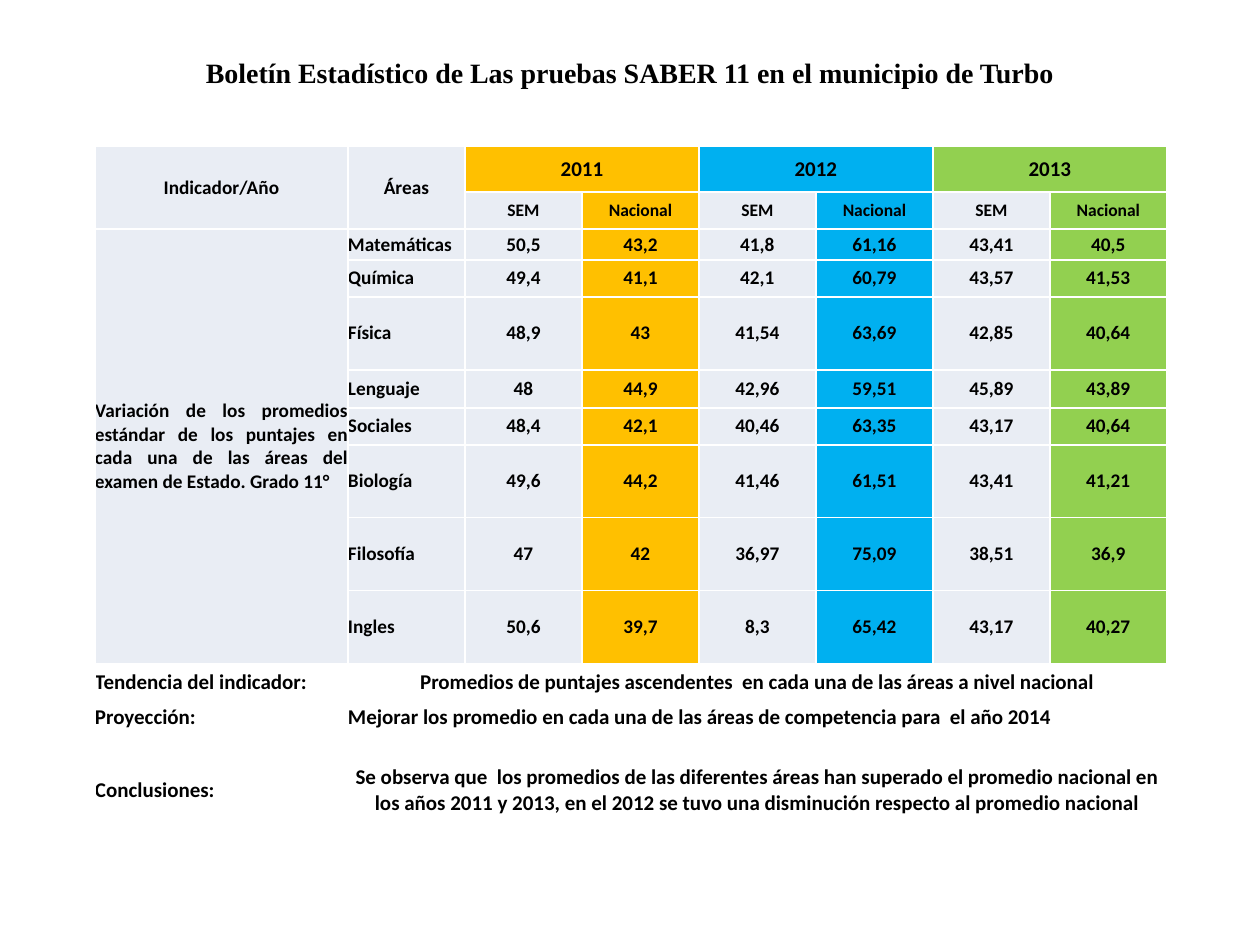
from lxml.etree import SubElement
from pptx import Presentation
from pptx.dml.color import RGBColor
from pptx.enum.text import MSO_ANCHOR, PP_ALIGN
from pptx.oxml.ns import qn
from pptx.util import Pt

PX = 914400 // 126
PALE = "E9EDF4"
YEARS = {"2011": "FFC000", "2012": "00B0F0", "2013": "92D050"}
COLUMNS = [253] + [117] * 7
ROWS = [46, 37, 31, 37, 73, 38, 37, 73, 73, 73, 38, 31, 116]
INDICATOR = ("Variación de los promedios estándar de los puntajes en cada una "
             "de las áreas del examen de Estado. Grado 11°")
SCORES = [
    ("Matemáticas", "50,5", "43,2", "41,8", "61,16", "43,41", "40,5"),
    ("Química", "49,4", "41,1", "42,1", "60,79", "43,57", "41,53"),
    ("Física", "48,9", "43", "41,54", "63,69", "42,85", "40,64"),
    ("Lenguaje", "48", "44,9", "42,96", "59,51", "45,89", "43,89"),
    ("Sociales", "48,4", "42,1", "40,46", "63,35", "43,17", "40,64"),
    ("Biología", "49,6", "44,2", "41,46", "61,51", "43,41", "41,21"),
    ("Filosofía", "47", "42", "36,97", "75,09", "38,51", "36,9"),
    ("Ingles", "50,6", "39,7", "8,3", "65,42", "43,17", "40,27"),
]
NOTES = [
    ("Tendencia del indicador:",
     "Promedios de puntajes ascendentes  en cada una de las áreas a nivel nacional",
     PP_ALIGN.CENTER),
    ("Proyección:",
     "Mejorar los promedio en cada una de las áreas de competencia para  el año 2014",
     PP_ALIGN.LEFT),
    ("Conclusiones:",
     "Se observa que  los promedios de las diferentes áreas han superado el promedio "
     "nacional en los años 2011 y 2013, en el 2012 se tuvo una disminución respecto "
     "al promedio nacional",
     PP_ALIGN.CENTER),
]


def color(value):
    """Return the colour of a hex string."""
    return RGBColor.from_string(value)


def write(tf, text, size, align, font="Calibri"):
    """Write one bold black paragraph into a text frame."""
    tf.text = text
    tf.word_wrap = True
    p = tf.paragraphs[0]
    p.alignment = align
    f = p.runs[0].font
    f.name, f.size, f.bold = font, Pt(size), True
    f.color.rgb = color("000000")


def add_borders(cell):
    """Give a cell thin white borders."""
    tc_pr = cell._tc.get_or_add_tcPr()
    for side in ("a:lnL", "a:lnR", "a:lnT", "a:lnB"):
        ln = SubElement(tc_pr, qn(side), w=str(Pt(1)))
        fill = SubElement(ln, qn("a:solidFill"))
        SubElement(fill, qn("a:srgbClr"), val="FFFFFF")


def style_cell(cell, fill):
    """Set the margins, anchor, borders and fill of a cell."""
    cell.margin_left = cell.margin_right = cell.margin_top = cell.margin_bottom = 0
    cell.vertical_anchor = MSO_ANCHOR.MIDDLE
    add_borders(cell)
    if fill:
        cell.fill.solid()
        cell.fill.fore_color.rgb = color(fill)
    else:
        cell.fill.background()


def fill_color(row, col):
    """Return the fill of a table position, or None for the notes."""
    if row >= 2 + len(SCORES):
        return None
    if col < 2 or (row > 0 and col % 2 == 0):
        return PALE
    return list(YEARS.values())[(col - 2) // 2]


def fill_header(table):
    """Write the two header rows."""
    for col, label in enumerate(("Indicador/Año", "Áreas")):
        table.cell(0, col).merge(table.cell(1, col))
        write(table.cell(0, col).text_frame, label, 11, PP_ALIGN.CENTER)
    for i, year in enumerate(YEARS):
        col = 2 + 2 * i
        table.cell(0, col).merge(table.cell(0, col + 1))
        write(table.cell(0, col).text_frame, year, 12, PP_ALIGN.CENTER)
        for j, label in enumerate(("SEM", "Nacional")):
            write(table.cell(1, col + j).text_frame, label, 10, PP_ALIGN.CENTER)


def fill_scores(table, top):
    """Write the indicator and the scores of each area from row top."""
    table.cell(top, 0).merge(table.cell(top + len(SCORES) - 1, 0))
    write(table.cell(top, 0).text_frame, INDICATOR, 11, PP_ALIGN.JUSTIFY)
    for row, values in enumerate(SCORES, top):
        for col, value in enumerate(values, 1):
            align = PP_ALIGN.LEFT if col == 1 else PP_ALIGN.CENTER
            write(table.cell(row, col).text_frame, value, 11, align)


def fill_notes(table, top):
    """Write the closing notes from row top."""
    for row, (label, text, align) in enumerate(NOTES, top):
        table.cell(row, 1).merge(table.cell(row, 7))
        write(table.cell(row, 0).text_frame, label, 12, PP_ALIGN.LEFT)
        write(table.cell(row, 1).text_frame, text, 12, align)


def add_title(s, x, y, w, h):
    """Add the centred slide title."""
    tf = s.shapes.add_textbox(x * PX, y * PX, w * PX, h * PX).text_frame
    tf.vertical_anchor = MSO_ANCHOR.MIDDLE
    write(tf, "Boletín Estadístico de Las pruebas SABER 11 en el municipio de Turbo",
          16, PP_ALIGN.CENTER, "Times New Roman")


def add_score_table(s, x, y):
    """Add the table of scores with its header and notes."""
    table = s.shapes.add_table(len(ROWS), len(COLUMNS), x * PX, y * PX,
                               sum(COLUMNS) * PX, sum(ROWS) * PX).table
    table.first_row = table.horz_banding = False
    for column, width in zip(table.columns, COLUMNS):
        column.width = width * PX
    for r, height in enumerate(ROWS):
        table.rows[r].height = height * PX
        for c in range(len(COLUMNS)):
            style_cell(table.cell(r, c), fill_color(r, c))
    fill_header(table)
    fill_scores(table, 2)
    fill_notes(table, 2 + len(SCORES))


def main():
    """Build and save the slide."""
    prs = Presentation()
    prs.slide_width, prs.slide_height = 1260 * PX, 945 * PX
    s = prs.slides.add_slide(prs.slide_layouts[6])
    add_title(s, 63, 38, 1134, 68)
    add_score_table(s, 95, 146)
    prs.save("out.pptx")


if __name__ == "__main__":
    main()
